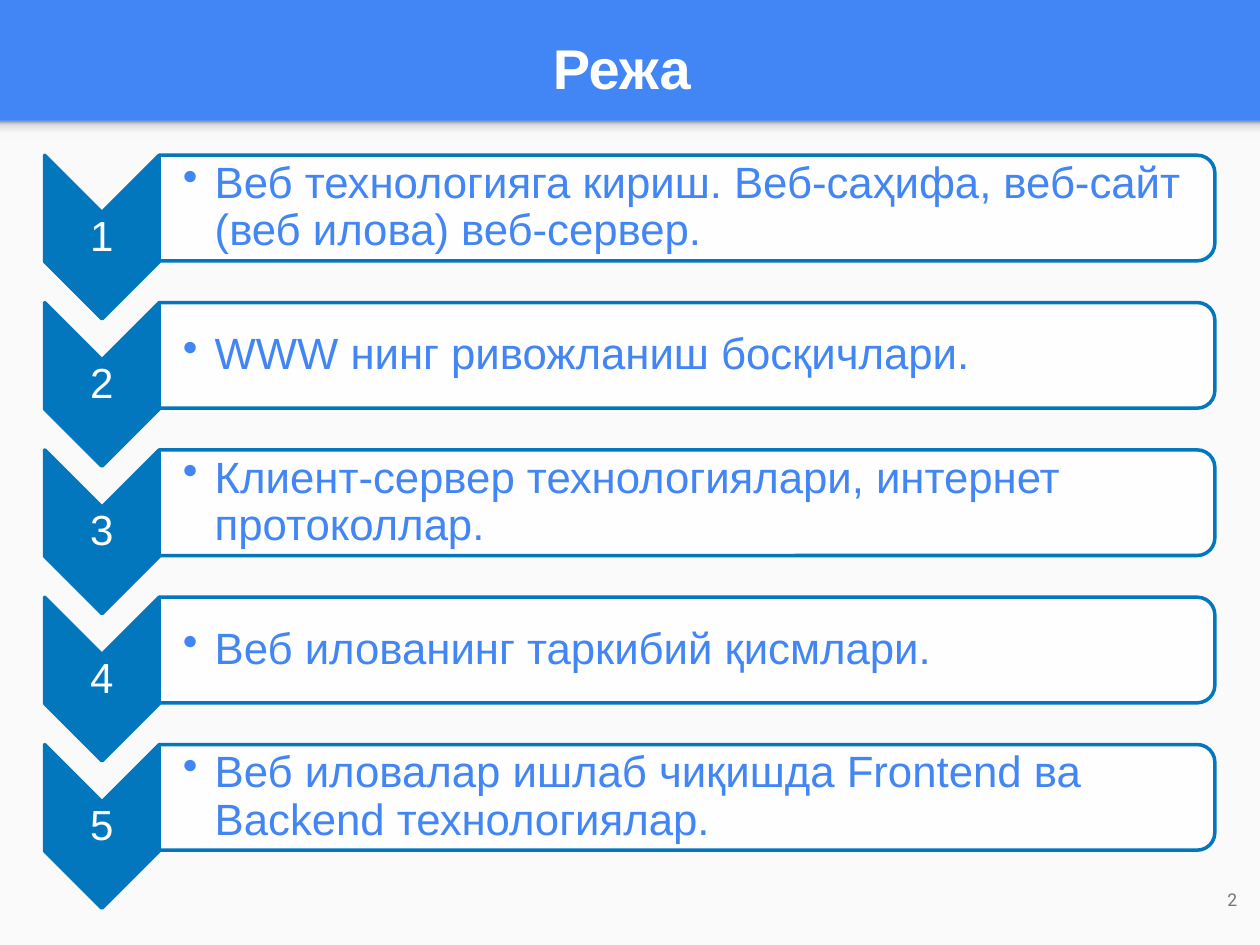
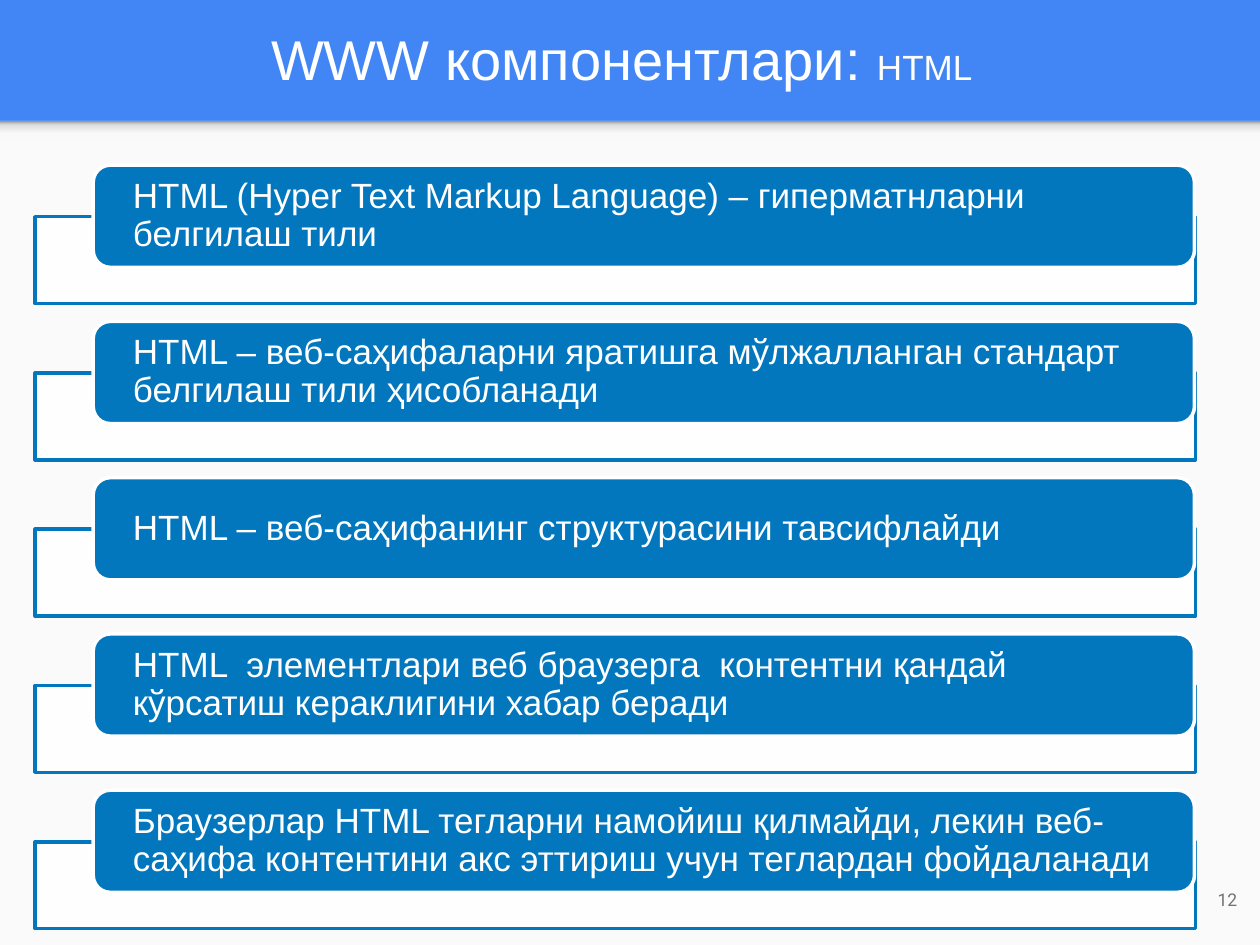
from lxml import etree
from pptx import Presentation
from pptx.dml.color import RGBColor
from pptx.enum.shapes import MSO_SHAPE
from pptx.enum.text import MSO_ANCHOR, PP_ALIGN
from pptx.oxml.ns import qn
from pptx.util import Cm, Pt

RECTANGLE = MSO_SHAPE.RECTANGLE
ROUNDED = MSO_SHAPE.ROUNDED_RECTANGLE
ROUND_TOP = MSO_SHAPE.ROUND_2_SAME_RECTANGLE
CHEVRON = MSO_SHAPE.CHEVRON
MIDDLE, BOTTOM = MSO_ANCHOR.MIDDLE, MSO_ANCHOR.BOTTOM
LEFT, CENTER, RIGHT = PP_ALIGN.LEFT, PP_ALIGN.CENTER, PP_ALIGN.RIGHT

HEADER_BLUE = RGBColor(0x42, 0x85, 0xF4)
DEEP_BLUE = RGBColor(0x02, 0x77, 0xBD)
WHITE = RGBColor(0xFF, 0xFF, 0xFF)
PAGE = RGBColor(0xFA, 0xFA, 0xFA)
GREY = RGBColor(0x73, 0x73, 0x73)
SHADE_STOPS = (
    (0, RGBColor(0xF9, 0xF9, 0xF9)),
    (36, RGBColor(0xF9, 0xF9, 0xF9)),
    (80, RGBColor(0xDE, 0xDE, 0xDE)),
    (100, RGBColor(0x99, 0x99, 0x99)),
)

WIDTH, HEIGHT = 25.4, 19.05
BAND = 2.44
TITLE_BOX = (0.28, 0.05, 24.51, 2.24)
NUMBER_BOX = (23.67, 17.4, 1.52, 1.45)
PLAN_BOX = (0.9, 3.13, 23.59, 3.3)
PLAN_PITCH = 2.97
FACTS_BOX = (0.71, 3.33, 23.39, 2.79)
FACTS_PITCH = 3.15

PLAN = (
    "Веб технологияга кириш. Веб-саҳифа, веб-сайт (веб илова) веб-сервер.",
    "WWW нинг ривожланиш босқичлари.",
    "Клиент-сервер технологиялари, интернет протоколлар.",
    "Веб илованинг таркибий қисмлари.",
    "Веб иловалар ишлаб чиқишда Frontend ва Backend технологиялар.",
)
FACTS = (
    "HTML (Hyper Text Markup Language) – гиперматнларни белгилаш тили",
    "HTML – веб-саҳифаларни яратишга мўлжалланган стандарт белгилаш тили ҳисобланади",
    "HTML – веб-саҳифанинг структурасини тавсифлайди",
    "HTML  элементлари веб браузерга  контентни қандай кўрсатиш кераклигини хабар беради",
    "Браузерлар HTML тегларни намойиш қилмайди, лекин веб-саҳифа контентини акс эттириш "
    "учун теглардан фойдаланади",
)


def add_block(slide, kind, box, fill, line=None, turned=False, opacity=None):
    left, top, width, height = box
    if turned:
        left += (width - height) / 2
        top += (height - width) / 2
        width, height = height, width
    shape = slide.shapes.add_shape(kind, Cm(left), Cm(top), Cm(width), Cm(height))
    shape.shadow.inherit = False
    shape.rotation = 90 if turned else 0
    shape.fill.solid()
    shape.fill.fore_color.rgb = fill
    if opacity:
        color = shape._element.spPr.find(qn("a:solidFill"))[0]
        etree.SubElement(color, qn("a:alpha"), val=str(opacity * 1000))
    if line is None:
        shape.line.fill.background()
    else:
        shape.line.color.rgb = line
        shape.line.width = Pt(2)
    return shape


def write(shape, runs, color, align=LEFT, anchor=MIDDLE, insets=(0.25, 0.25),
          font="Arial", bold=False, spacing=None):
    frame = shape.text_frame
    frame.word_wrap = True
    frame.vertical_anchor = anchor
    frame.margin_left = Cm(insets[0])
    frame.margin_right = frame.margin_top = frame.margin_bottom = Cm(insets[1])
    paragraph = frame.paragraphs[0]
    paragraph.alignment = align
    paragraph.line_spacing = spacing
    for text, size in runs:
        run = paragraph.add_run()
        run.text = text
        run.font.size = Pt(size)
        run.font.name = font
        run.font.bold = bold
        run.font.color.rgb = color
    return paragraph


def add_text(slide, box, runs, color, **style):
    shape = slide.shapes.add_textbox(*(Cm(length) for length in box))
    return write(shape, runs, color, **style)


def add_bullet(paragraph, indent):
    properties = paragraph._p.get_or_add_pPr()
    properties.set("marL", str(Cm(indent)))
    properties.set("indent", str(-Cm(indent)))
    etree.SubElement(properties, qn("a:buChar"), char="•")


def add_band_shade(slide, box):
    shade = add_block(slide, RECTANGLE, box, PAGE)
    shade.fill.gradient()
    shade.fill.gradient_angle = 90
    stops = shade._element.spPr.find(qn("a:gradFill")).find(qn("a:gsLst"))
    for stop in list(stops):
        stops.remove(stop)
    for position, color in SHADE_STOPS:
        stop = etree.SubElement(stops, qn("a:gs"), pos=str(position * 1000))
        etree.SubElement(stop, qn("a:srgbClr"), val=str(color))


def add_page(presentation, title_runs, number, anchor=MIDDLE, bold=False):
    slide = presentation.slides.add_slide(presentation.slide_layouts[6])
    slide.background.fill.solid()
    slide.background.fill.fore_color.rgb = HEADER_BLUE
    add_block(slide, RECTANGLE, (0, BAND, WIDTH, HEIGHT - BAND), PAGE)
    add_band_shade(slide, (0, BAND, WIDTH, 0.4))
    add_text(slide, TITLE_BOX, title_runs, WHITE, align=CENTER, anchor=anchor, bold=bold)
    add_text(slide, NUMBER_BOX, [(number, 10)], GREY, align=RIGHT, font="Roboto")
    return slide


def add_plan_item(slide, box, number, text):
    left, top, width, height = box
    arrow_width, bar_height = 2.31, 2.13
    bar_left, bar_width = left + arrow_width, width - arrow_width
    add_block(slide, CHEVRON, (left, top, arrow_width, height), DEEP_BLUE, DEEP_BLUE, turned=True)
    add_text(slide, (left, top + 1.16, arrow_width, 1), [(number, 24)], WHITE,
             align=CENTER, insets=(0.05, 0.05), spacing=0.9)
    add_block(slide, ROUND_TOP, (bar_left, top, bar_width, bar_height), WHITE, DEEP_BLUE,
              turned=True, opacity=90)
    paragraph = add_text(slide, (bar_left, top + 0.1, bar_width - 0.1, bar_height - 0.2),
                         [(text, 25)], HEADER_BLUE, insets=(0.48, 0.05), spacing=0.9)
    add_bullet(paragraph, 0.64)


def add_fact(slide, box, text):
    left, top, width, height = box
    frame_top, label_left = 1.04, 1.17
    add_block(slide, RECTANGLE, (left, top + frame_top, width, height - frame_top),
              WHITE, DEEP_BLUE, opacity=90)
    label = add_block(slide, ROUNDED, (left + label_left, top, width - label_left - 0.02, 2.06),
                      DEEP_BLUE, WHITE)
    write(label, [(text, 20)], WHITE, insets=(0.7, 0), spacing=0.9)
    label.text_frame.margin_right = Cm(0.7)


def stack(box, pitch, count):
    left, top, width, height = box
    return [(left, top + index * pitch, width, height) for index in range(count)]


def build_plan(presentation):
    slide = add_page(presentation, [("Режа", 32)], "2", anchor=BOTTOM, bold=True)
    boxes = stack(PLAN_BOX, PLAN_PITCH, len(PLAN))
    for number, (box, text) in enumerate(zip(boxes, PLAN), 1):
        add_plan_item(slide, box, str(number), text)


def build_facts(presentation):
    slide = add_page(presentation, [("WWW компонентлари: ", 32), ("HTML", 20)], "12")
    for box, text in zip(stack(FACTS_BOX, FACTS_PITCH, len(FACTS)), FACTS):
        add_fact(slide, box, text)


def main():
    presentation = Presentation()
    presentation.slide_width = Cm(WIDTH)
    presentation.slide_height = Cm(HEIGHT)
    build_plan(presentation)
    build_facts(presentation)
    presentation.save("out.pptx")


if __name__ == "__main__":
    main()
